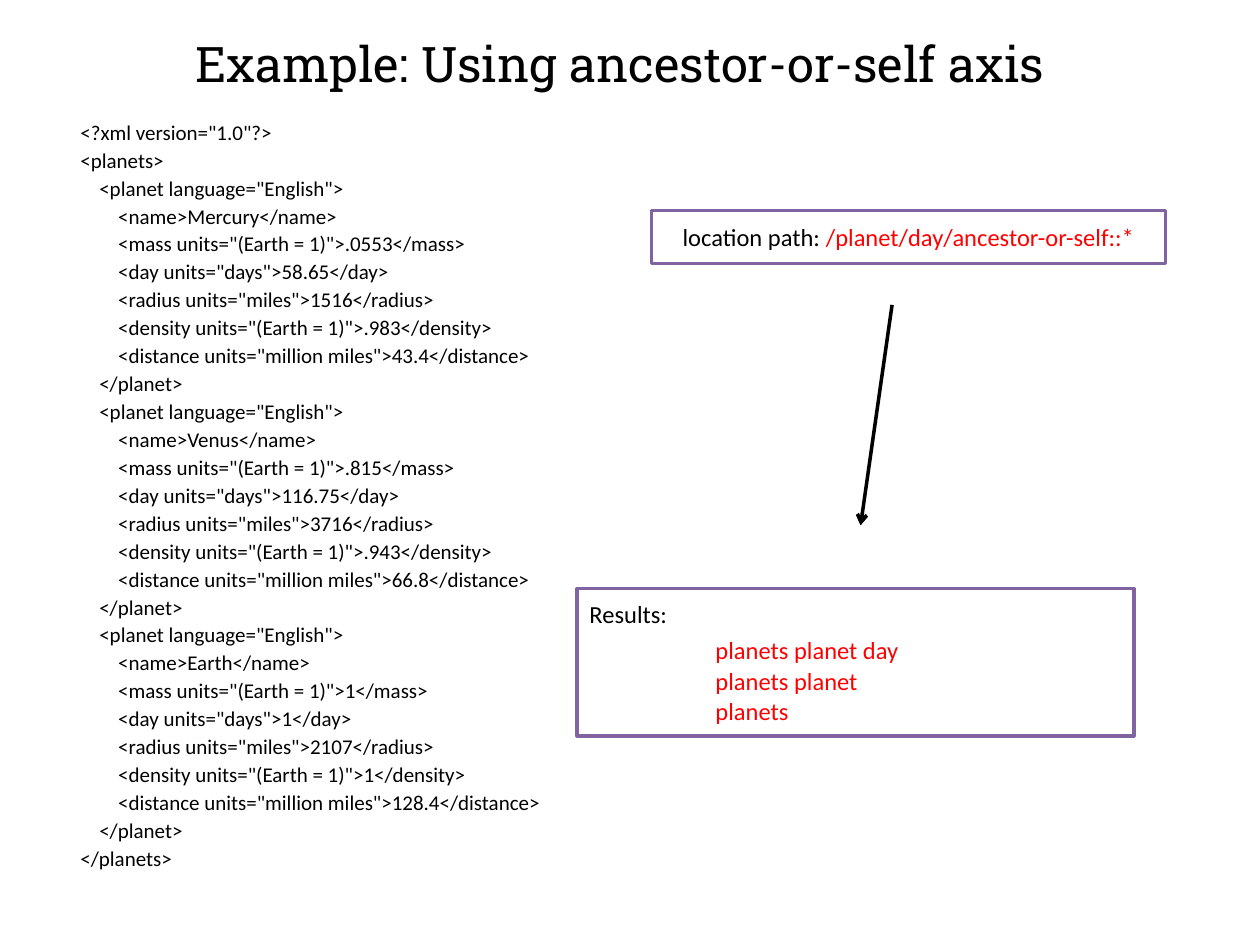
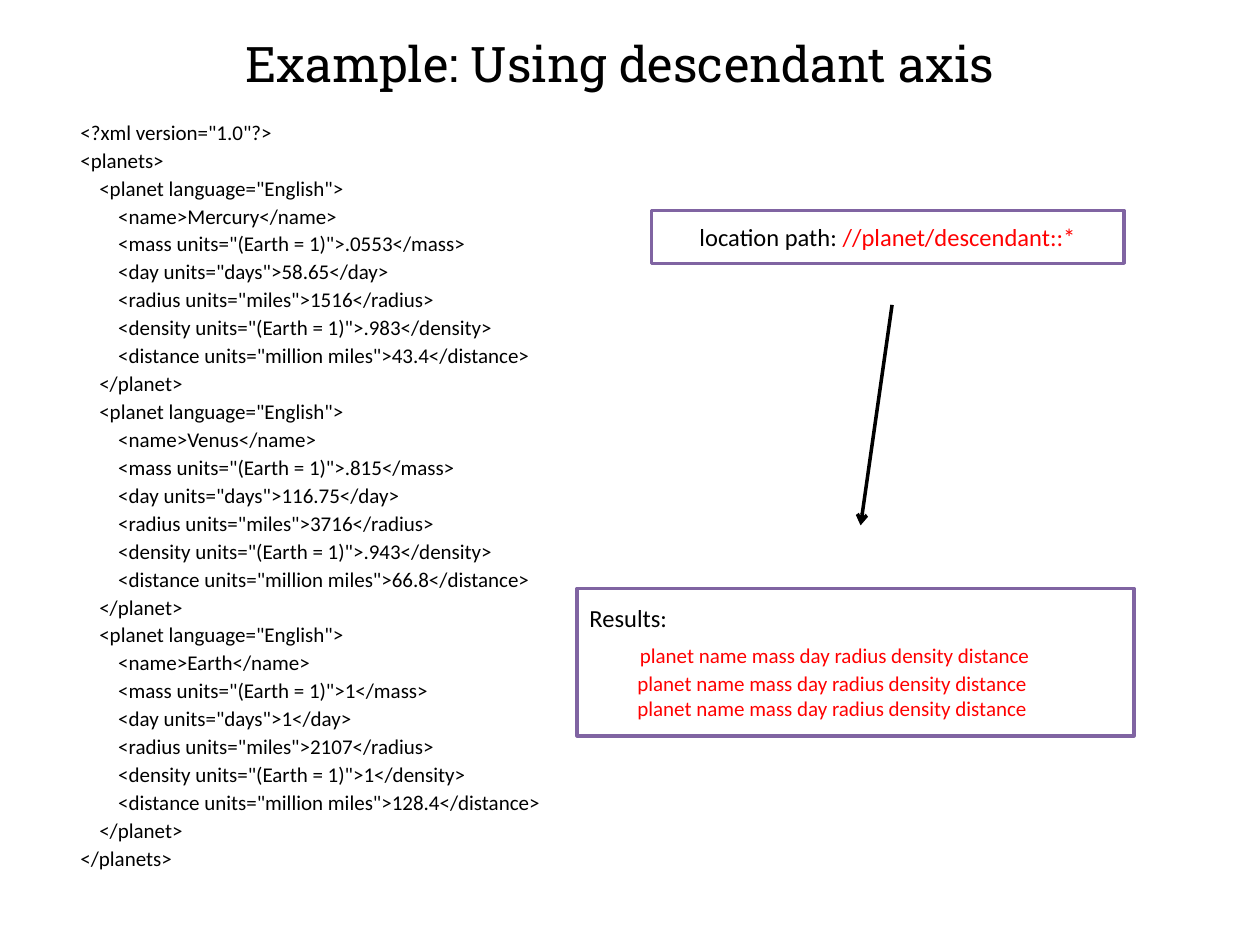
from lxml.etree import SubElement
from pptx import Presentation
from pptx.dml.color import RGBColor
from pptx.enum.shapes import MSO_CONNECTOR, MSO_SHAPE
from pptx.enum.text import MSO_ANCHOR, MSO_AUTO_SIZE, PP_ALIGN
from pptx.oxml.ns import qn
from pptx.util import Inches, Pt

BLACK = RGBColor(0x00, 0x00, 0x00)
WHITE = RGBColor(0xFF, 0xFF, 0xFF)
RED = RGBColor(0xFF, 0x00, 0x00)
PURPLE = RGBColor(0x80, 0x64, 0xA2)
TITLE_FONT, BODY_FONT = "Roboto Slab", "Calibri"

# XML listing shown on both slides
FIELDS = [("mass", "(Earth = 1)"), ("day", "days"), ("radius", "miles"),
          ("density", "(Earth = 1)"), ("distance", "million miles")]
PLANETS = [("Mercury", ".0553", "58.65", "1516", ".983", "43.4"),
           ("Venus", ".815", "116.75", "3716", ".943", "66.8"),
           ("Earth", "1", "1", "2107", "1", "128.4")]
code = ['<?xml version="1.0"?>', "<planets>"]
for name, *values in PLANETS:
    code += ['    <planet language="English">', f"        <name>{name}</name>"]
    for (tag, units), value in zip(FIELDS, values):
        code.append(f'        <{tag} units="{units}">{value}</{tag}>')
    code.append("    </planet>")
code.append("</planets>")

# Per slide: title, path, path box width, results, and format of the results;
# the first result has its own indent and the space around it
DESCENDANTS = "planet name mass day radius density distance"
SLIDES = [
    dict(title="Example: Using ancestor-or-self axis",
         path="/planet/day/ancestor-or-self::*", width=4.08,
         results=["planets planet day", "planets planet", "planets"],
         size=14, indents=[1, 1, 1], before=3.8, after=1),
    dict(title="Example: Using descendant axis",
         path="//planet/descendant::*", width=3.75,
         results=[DESCENDANTS] * 3,
         size=12, indents=[0.4, 0.38, 0.38], before=5.7, after=1.6),
]


def add_text(p, text, size, color=BLACK, font=BODY_FONT):
    r = p.add_run()
    r.text = text
    for key, value in dict(size=Pt(size), name=font).items():
        setattr(r.font, key, value)
    r.font.color.rgb = color


def add_box(s, left, top, width, height):
    sp = s.shapes.add_shape(MSO_SHAPE.RECTANGLE, Inches(left), Inches(top),
                            Inches(width), Inches(height))
    sp.shadow.inherit = False
    sp.fill.solid()
    sp.fill.fore_color.rgb = WHITE
    sp.line.color.rgb = PURPLE
    sp.line.width = Pt(2)
    tf = sp.text_frame
    tf.word_wrap = True
    tf.vertical_anchor = MSO_ANCHOR.MIDDLE
    return tf


prs = Presentation()
prs.slide_width, prs.slide_height = Inches(10), Inches(7.5)

for item in SLIDES:
    s = prs.slides.add_slide(prs.slide_layouts[5])

    # Title
    sp = s.shapes.title
    place = dict(left=0.42, top=0, width=9, height=1)
    for key, value in place.items():
        setattr(sp, key, Inches(value))
    tf = sp.text_frame
    tf.auto_size = MSO_AUTO_SIZE.NONE
    tf.vertical_anchor = MSO_ANCHOR.MIDDLE
    p = tf.paragraphs[0]
    p.alignment = PP_ALIGN.CENTER
    add_text(p, item["title"], 28, font=TITLE_FONT)

    # Listing
    sp = s.shapes.add_textbox(Inches(0.42), Inches(0.92), Inches(9), Inches(6.33))
    tf = sp.text_frame
    tf.word_wrap = True
    for i, line in enumerate(code):
        p = tf.add_paragraph() if i else tf.paragraphs[0]
        pPr = p._p.get_or_add_pPr()
        pPr.set("marL", str(Inches(0.4)))
        pPr.set("indent", str(Inches(-0.28)))
        p.line_spacing = 0.9
        p.space_before = Pt(3 if i else 0)
        add_text(p, line, 12)

    # Location path
    p = add_box(s, 5.17, 1.67, item["width"], 0.42).paragraphs[0]
    p.alignment = PP_ALIGN.CENTER
    add_text(p, "location path: ", 14)
    add_text(p, item["path"], 14, RED)

    # Results
    tf = add_box(s, 4.58, 4.67, 4.42, 1.17)
    p = tf.paragraphs[0]
    p.alignment = PP_ALIGN.LEFT
    add_text(p, "Results:", 14)
    for i, (result, indent) in enumerate(zip(item["results"], item["indents"])):
        p = tf.add_paragraph()
        p.alignment = PP_ALIGN.LEFT
        p._p.get_or_add_pPr().set("marL", str(Inches(indent)))
        if i == 0:
            p.space_before = Pt(item["before"])
            p.space_after = Pt(item["after"])
        add_text(p, result, item["size"], RED)

    # Arrow from path to results
    arrow = s.shapes.add_connector(MSO_CONNECTOR.STRAIGHT, Inches(7.08), Inches(2.42),
                                   Inches(6.83), Inches(4.17))
    arrow.line.color.rgb = BLACK
    arrow.line.width = Pt(2)
    SubElement(arrow.line._get_or_add_ln(), qn("a:tailEnd"), type="arrow")
    SubElement(arrow._element.spPr, qn("a:effectLst"))

prs.save("out.pptx")
